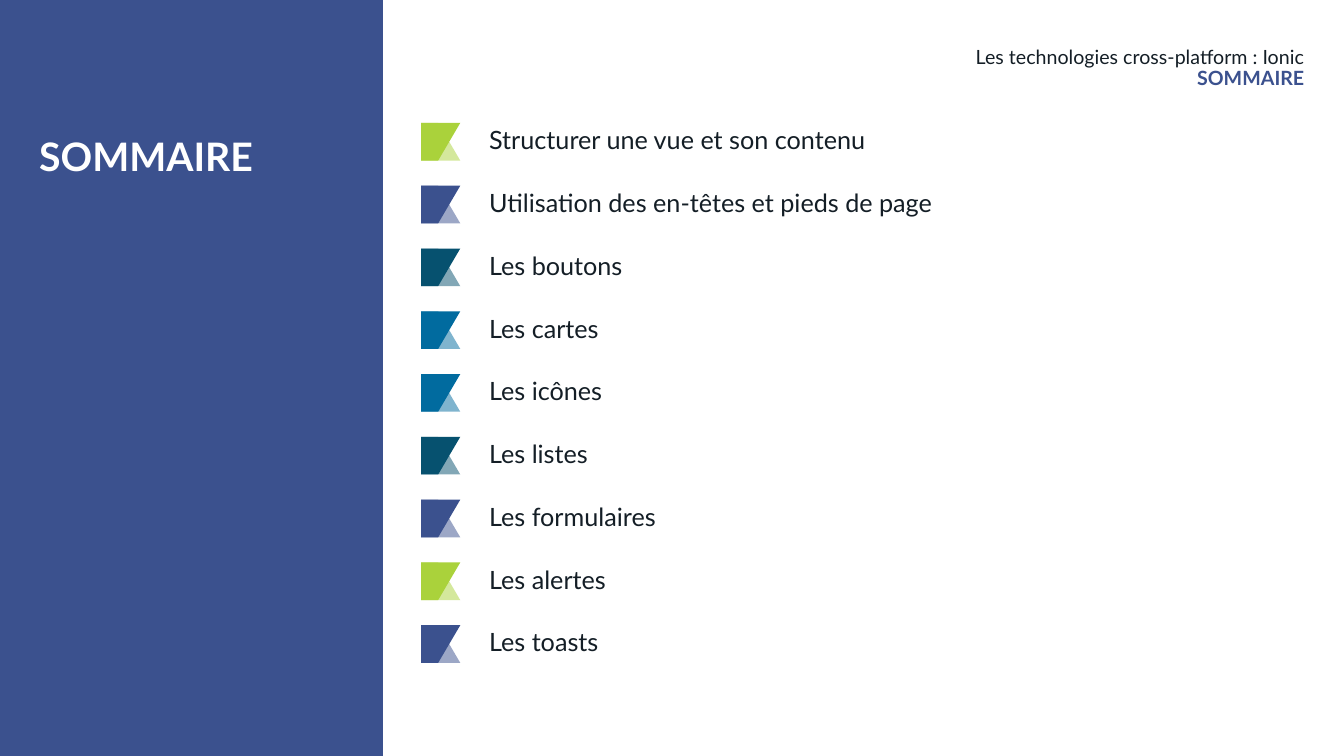
from pptx import Presentation
from pptx.dml.color import RGBColor
from pptx.enum.shapes import MSO_SHAPE
from pptx.enum.text import MSO_ANCHOR, MSO_AUTO_SIZE, PP_ALIGN
from pptx.oxml.ns import qn
from pptx.util import Pt
from lxml import etree

RECTANGLE = MSO_SHAPE.RECTANGLE
TOP = MSO_ANCHOR.TOP
NO_AUTOFIT = MSO_AUTO_SIZE.NONE
LEFT, RIGHT = PP_ALIGN.LEFT, PP_ALIGN.RIGHT

WHITE = RGBColor(0xFF, 0xFF, 0xFF)
INK = RGBColor(0x14, 0x1E, 0x26)
INDIGO = RGBColor(0x3B, 0x51, 0x8E)
LIME = RGBColor(0xAA, 0xD2, 0x3B)
PETROL = RGBColor(0x06, 0x51, 0x6F)
BLUE = RGBColor(0x01, 0x6B, 0x9F)

FONT = "Lato"
ROW_PITCH = 44.85
ROW_HEIGHT = 26.9
MARKER_WIDTH = 28
MARKER_NOTCH = 12.2
LABEL_OFFSET = 41.5

ENTRIES = [
    ("Structurer une vue et son contenu", LIME),
    ("Utilisation des en-têtes et pieds de page", INDIGO),
    ("Les boutons", PETROL),
    ("Les cartes", BLUE),
    ("Les icônes", BLUE),
    ("Les listes", PETROL),
    ("Les formulaires", INDIGO),
    ("Les alertes", LIME),
    ("Les toasts", INDIGO),
]


def place(shape, box):
    """Move a shape to a box of left, top, width and height in points."""
    shape.left, shape.top, shape.width, shape.height = map(Pt, box)


def write(shape, lines, size, align=LEFT, inset=None):
    """Write lines of (text, colour, bold) into a shape."""
    frame = shape.text_frame
    frame.word_wrap = True
    frame.auto_size = NO_AUTOFIT
    frame.vertical_anchor = TOP
    if inset is not None:
        frame.margin_left = frame.margin_right = Pt(inset)
        frame.margin_top = frame.margin_bottom = Pt(inset)
    frame.text = "\n".join(text for text, _, _ in lines)
    for para, (_, color, bold) in zip(frame.paragraphs, lines):
        para.alignment = align
        para.line_spacing = 0.9
        for span in para.runs:
            span.font.name = FONT
            span.font.size = Pt(size)
            span.font.bold = bold
            span.font.color.rgb = color


def paint(shape, color, opacity=100):
    """Fill a shape without line or shadow, at a given opacity in percent."""
    shape.shadow.inherit = False
    shape.line.fill.background()
    shape.fill.solid()
    shape.fill.fore_color.rgb = color
    if opacity < 100:
        swatch = shape.element.spPr.find(qn("a:solidFill")).find(qn("a:srgbClr"))
        etree.SubElement(swatch, qn("a:alpha")).set("val", str(opacity * 1000))


def add_title_panel(page, box):
    """Draw the coloured side panel with the page title."""
    left, top, width, height = box
    panel = page.shapes.add_shape(RECTANGLE, *map(Pt, box))
    paint(panel, INDIGO)
    title = page.shapes.title
    title.element.addprevious(panel.element)
    place(title, (left + 28, top + 98, width - 49, height - 191.5))
    write(title, [("SOMMAIRE", WHITE, True)], 28, inset=0)


def add_header(page, box):
    """Write the course name and the section name at the right."""
    header = page.shapes.add_textbox(*map(Pt, box))
    lines = [
        ("Les technologies cross-platform : Ionic", INK, False),
        ("SOMMAIRE", INDIGO, True),
    ]
    write(header, lines, 14, align=RIGHT, inset=0)


def add_marker(page, left, top, color):
    """Draw a folded marker: a pale slope behind a solid slope."""
    marker = page.shapes.add_group_shape()
    bottom = top + ROW_HEIGHT
    for start, end, opacity in ((top, bottom, 50), (bottom, top, 100)):
        builder = marker.shapes.build_freeform(Pt(left), Pt(start))
        corners = [
            (left + MARKER_NOTCH, start),
            (left + MARKER_WIDTH, end),
            (left, end),
        ]
        builder.add_line_segments([(Pt(x), Pt(y)) for x, y in corners], close=True)
        paint(builder.convert_to_shape(), color, opacity)


def add_agenda(page, box):
    """List the entries, each with its marker, in evenly spaced rows."""
    left, top, width, _ = box
    for row, (text, color) in enumerate(ENTRIES):
        row_top = top + row * ROW_PITCH
        add_marker(page, left, row_top, color)
        label_box = (left + LABEL_OFFSET, row_top, width - LABEL_OFFSET, ROW_HEIGHT)
        label = page.shapes.add_textbox(*map(Pt, label_box))
        write(label, [(text, INK, False)], 18)


def main():
    """Build the summary slide and save the deck."""
    deck = Presentation()
    deck.slide_width, deck.slide_height = Pt(960), Pt(540)
    page = deck.slides.add_slide(deck.slide_layouts[5])
    add_title_panel(page, (0, 0, 273.5, 540))
    add_header(page, (301, 34, 630.7, 34.6))
    add_agenda(page, (300.8, 87.8, 561.5, 386))
    deck.save("out.pptx")


if __name__ == "__main__":
    main()
